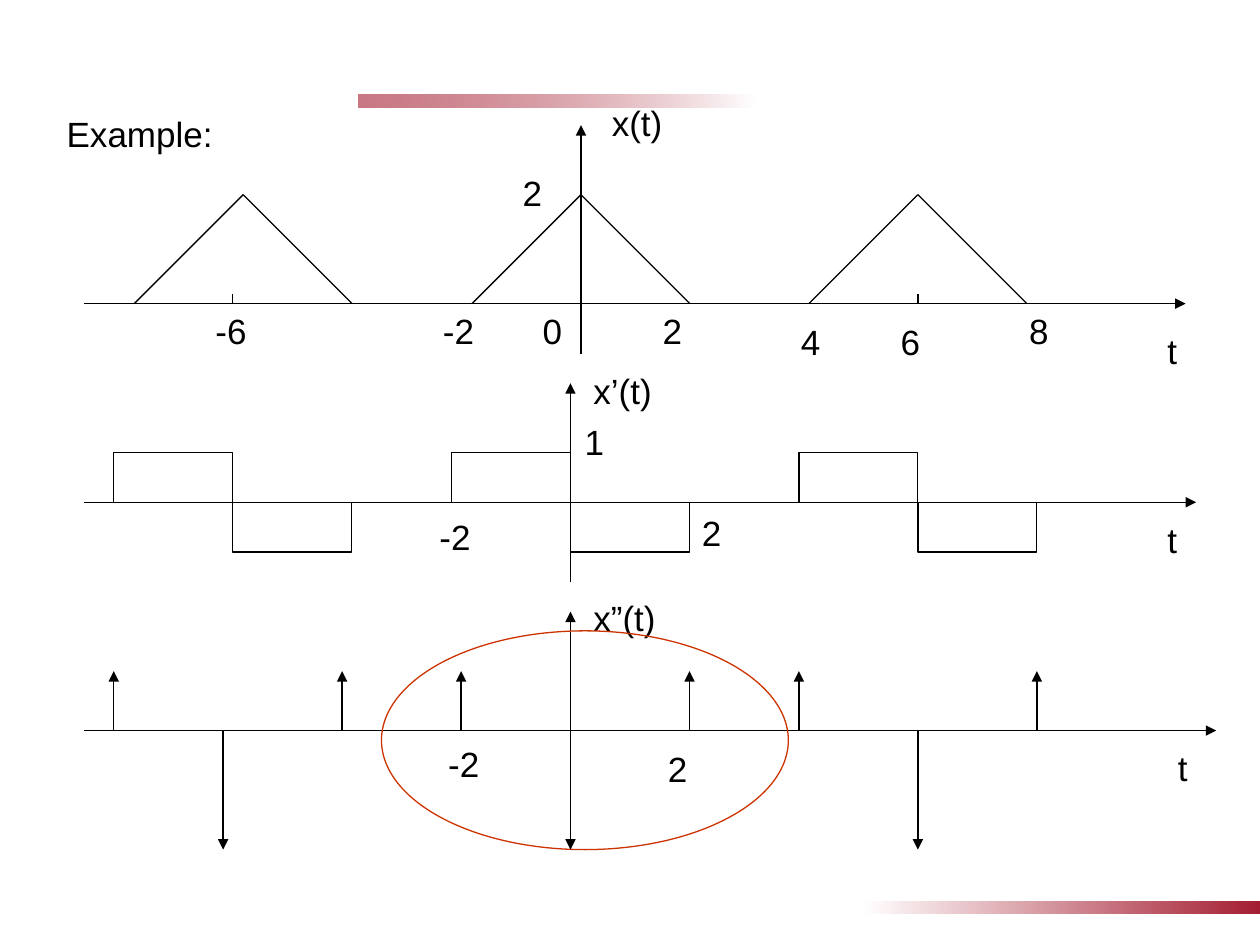
from lxml.etree import SubElement
from pptx import Presentation
from pptx.dml.color import RGBColor
from pptx.enum.shapes import MSO_CONNECTOR as Connector, MSO_SHAPE as Shape
from pptx.oxml.ns import qn
from pptx.util import Pt

THEME = {
    "font": "Arial", "size": Pt(20), "line": Pt(0.75),
    "ink": RGBColor(0, 0, 0), "ring": RGBColor(0xCC, 0x33, 0),
    "accent": RGBColor(0xA4, 0x1E, 0x31), "paper": RGBColor(255, 255, 255),
}
LABEL_HEIGHT = 31.5
AXIS_START = 48

HEADING = ("Example:", 31, 60.5, 119)

SIGNAL = {
    "zero": 173.5, "end": 677.5, "center": 332, "bottom": 202.5, "top": 71.5,
    "labels": [("2", 291.5, 94.5, 23), ("-2", 246, 173.5, 39.5), ("2", 371.5, 173.5, 34),
               ("4", 450.5, 179.5, 34), ("8", 581, 173.5, 34), ("6", 507.5, 179.5, 45.5),
               ("0", 303, 173.5, 22.5), ("-6", 116, 173.5, 34),
               ("x(t)", 342.5, 54.5, 62.5), ("t", 660, 185, 34)],
    "peaks": [139, 332, 524.5], "peak": 62.25, "half_base": 62.25,
    "ticks": [133, 524.5], "tick": 5.75,
}
SLOPE = {
    "zero": 287, "end": 683.5, "center": 326, "bottom": 332.5, "top": 219,
    "labels": [("t", 660, 292.5, 34), ("x’(t)", 332, 207.5, 62.5), ("-2", 244, 291, 39.5),
               ("2", 394, 288.5, 39.5), ("1", 327, 237, 39.5)],
    "steps": [133, 326, 524.5], "step_width": 68, "step_height": 28.4,
}
IMPULSES = {
    "zero": 417.5, "end": 695, "center": 326, "bottom": 485.5, "top": 349.5,
    "labels": [("t", 666, 423, 34), ("x”(t)", 332, 337.5, 62.5), ("-2", 249, 420.5, 39.5),
               ("2", 374.5, 423.5, 39.5)],
    "up": [65, 195.5, 263.5, 394, 456.5, 592.5], "up_length": 34,
    "down": [127.5, 326, 524.5], "down_length": 68,
    "period": (218, 360.5, 232.5, 125),
}


def add_line(shapes, start, end, arrow=False):
    line = shapes.add_connector(Connector.STRAIGHT, *map(Pt, start + end))
    line.line.color.rgb = THEME["ink"]
    line.line.width = THEME["line"]
    properties = line._element.spPr
    if arrow:
        SubElement(properties.find(qn("a:ln")), qn("a:tailEnd"), type="triangle")
    SubElement(properties, qn("a:effectLst"))


def add_outline(shapes, preset, box, color):
    outline = shapes.add_shape(preset, *map(Pt, box))
    outline.shadow.inherit = False
    outline.fill.background()
    outline.line.color.rgb = color
    outline.line.width = THEME["line"]


def add_label(shapes, words, left, top, width):
    frame = shapes.add_textbox(*map(Pt, (left, top, width, LABEL_HEIGHT))).text_frame
    frame.word_wrap = True
    label = frame.paragraphs[0]
    label.text = words
    label.font.name = THEME["font"]
    label.font.size = THEME["size"]
    label.font.color.rgb = THEME["ink"]


def add_bar(shapes, left, top, colors, faded=None):
    bar = shapes.add_shape(Shape.RECTANGLE, *map(Pt, (left, top, 227, 7.5)))
    bar.shadow.inherit = False
    bar.line.fill.background()
    bar.fill.gradient()
    bar.fill.gradient_angle = 0
    for stop, color in zip(bar.fill.gradient_stops, colors):
        stop.color.rgb = color
    if faded:
        first = bar._element.spPr.find(".//" + qn("a:srgbClr"))
        SubElement(first, qn("a:alpha"), val=str(faded * 1000))


def add_plot(slide, plot):
    shapes = slide.shapes.add_group_shape().shapes
    zero, center = plot["zero"], plot["center"]
    add_line(shapes, (AXIS_START, zero), (plot["end"], zero), arrow=True)
    add_line(shapes, (center, plot["bottom"]), (center, plot["top"]), arrow=True)
    for label in plot["labels"]:
        add_label(shapes, *label)
    return shapes


def main():
    deck = Presentation()
    deck.slide_width, deck.slide_height = Pt(720), Pt(540)
    slide = deck.slides.add_slide(deck.slide_layouts[6])

    add_bar(slide.shapes, 205, 54, (THEME["accent"], THEME["paper"]), faded=60)
    add_bar(slide.shapes, 493, 515, (THEME["paper"], THEME["accent"]))
    add_label(slide.shapes, *HEADING)

    signal, zero = add_plot(slide, SIGNAL), SIGNAL["zero"]
    for x in SIGNAL["ticks"]:
        add_line(signal, (x, zero), (x, zero - SIGNAL["tick"]))
    for x in SIGNAL["peaks"]:
        for side in (-1, 1):
            foot = x + side * SIGNAL["half_base"]
            add_line(signal, (x, zero - SIGNAL["peak"]), (foot, zero))

    slope, zero = add_plot(slide, SLOPE), SLOPE["zero"]
    width, height = SLOPE["step_width"], SLOPE["step_height"]
    for x in SLOPE["steps"]:
        for corner in ((x - width, zero - height), (x, zero)):
            add_outline(slope, Shape.RECTANGLE, corner + (width, height), THEME["ink"])

    impulses, zero = add_plot(slide, IMPULSES), IMPULSES["zero"]
    add_outline(impulses, Shape.OVAL, IMPULSES["period"], THEME["ring"])
    for direction, sign in (("up", -1), ("down", 1)):
        tip = zero + sign * IMPULSES[direction + "_length"]
        for x in IMPULSES[direction]:
            add_line(impulses, (x, zero), (x, tip), arrow=True)

    deck.save("out.pptx")


if __name__ == "__main__":
    main()
